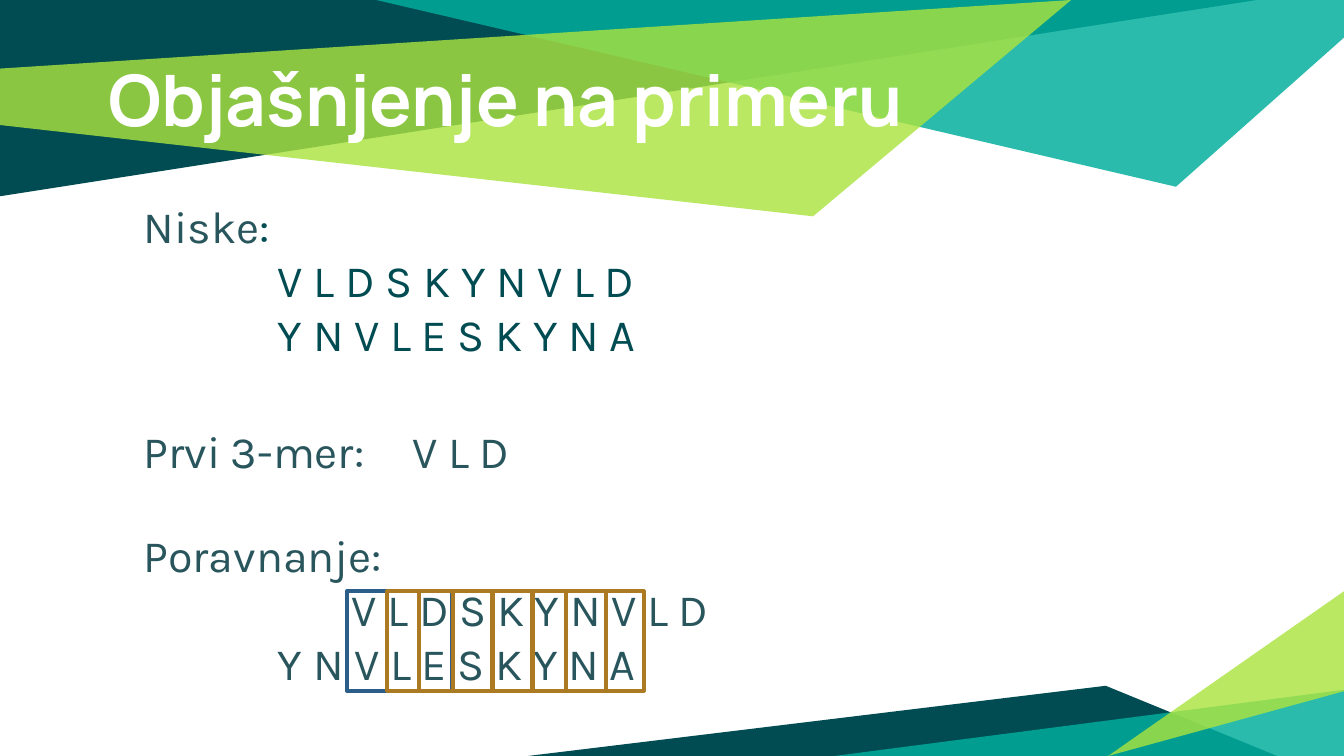
from lxml.etree import SubElement as Sub
from pptx import Presentation
from pptx.dml.color import RGBColor as RGB
from pptx.enum.shapes import MSO_SHAPE as Shape
from pptx.enum.text import MSO_ANCHOR as Anchor
from pptx.oxml.ns import qn
from pptx.util import Inches as In, Pt

NAVY, TEAL, LIME = RGB(0, 0x4C, 0x52), RGB(0, 0xAE, 0x9D), RGB(0xAB, 0xE3, 0x3F)
SLATE, WHITE = RGB(0x29, 0x55, 0x5D), RGB(255, 255, 255)
BLUE, GOLD = RGB(0x2B, 0x5F, 0x8A), RGB(0xAB, 0x7A, 0x22)
WIDE = 10
HIGH = WIDE * 9 / 16

deck = Presentation()
deck.slide_width, deck.slide_height = In(WIDE), In(HIGH)
slide = deck.slides.add_slide(deck.slide_layouts[6])
shapes = slide.shapes


def facet(box, color, alpha, *dots):
    """Filled outline; dots are percentages of the box."""
    x, y, w, h = box
    pts = [(In(x + w * a / 100), In(y + h * b / 100)) for a, b in dots]
    pen = shapes.build_freeform(*pts[0])
    pen.add_line_segments(pts[1:], close=True)
    form = pen.convert_to_shape()
    form.shadow.inherit = False
    form.line.fill.background()
    form.fill.solid()
    form.fill.fore_color.rgb = color
    if alpha < 100:
        tone = form.fill._xPr.find(".//" + qn("a:srgbClr"))
        Sub(tone, qn("a:alpha"), val=str(alpha * 1000))


def write(box, lines, font="Karla", size=24, color=SLATE, bold=False,
          pad=(0.1, 0.05), anchor=Anchor.TOP, space=None):
    """Each line is (indent, run, ...); a run is text or (text, color)."""
    area = shapes.add_textbox(*map(In, box))
    frame = area.text_frame
    frame.word_wrap, frame.vertical_anchor = True, anchor
    frame.margin_left = frame.margin_right = In(pad[0])
    frame.margin_top = frame.margin_bottom = In(pad[1])
    for i, (indent, *runs) in enumerate(lines):
        para = frame.paragraphs[0] if i == 0 else frame.add_paragraph()
        para._p.get_or_add_pPr().set("marL", str(In(indent)))
        if space:
            para.line_spacing = space
        for part in runs:
            text, tint = part if isinstance(part, tuple) else (part, color)
            run = para.add_run()
            run.text = text
            run.font.name, run.font.size = font, Pt(size)
            run.font.bold, run.font.color.rgb = bold, tint


def header(box):
    facet(box, NAVY, 100, (0, 0), (0, 90.7), (93.5, 0))
    facet(box, TEAL, 83, (28, 0), (87.5, 86.3), (100, 17.4), (100, 0))
    facet(box, LIME, 81, (0, 31.7), (0, 57.8), (60.5, 100), (79.7, 0))
    x, y, w, h = box
    write((x + 0.071 * w, y + 0.19 * h, 0.806 * w, 0.58 * h),
          [(0, "Objašnjenje na primeru")], font="Manrope", size=38, color=WHITE,
          bold=True, pad=(0.1, 0.1), anchor=Anchor.MIDDLE, space=0.9)


def footer(box):
    facet(box, NAVY, 100, (0, 100), (91.8, 100), (70.8, 57.4))
    facet(box, TEAL, 83, (100, 59.8), (100, 100), (37.5, 100))
    facet(box, LIME, 81, (100, 60.7), (100, 0), (71.1, 100))


def frames(box, spans):
    """Overlapping 3-mer windows; each span is (start, width) in the box."""
    x, y, _, h = box
    for i, (start, width) in enumerate(spans):
        rect = shapes.add_shape(Shape.RECTANGLE, In(x + start), In(y), In(width), In(h))
        rect.shadow.inherit = False
        rect.fill.background()
        rect.line.color.rgb = GOLD if i else BLUE
        rect.line.width = Pt(2)


def content(box):
    x, y, w, h = box
    # Strings
    write((x, y, w, 0.34 * h),
          [(0, "Niske", (":", NAVY)), (1, ("V L D S K Y N V L D", NAVY)),
           (1, ("Y N V L E S K Y N A", NAVY))], pad=(0.1, 0.1))
    # First 3-mer
    write((x, y + 1.72, 7.8, 0.5), [(0, "Prvi 3-mer: \tV L D")])
    # Alignment
    write((x, y + 2.5, 4.47, 1.72),
          [(0, "Poravnanje:"), (1.55, "V L D S K Y N V L D"),
           (1, "Y N V L E S K Y N A")])
    frames((x + 1.61, y + 3.02, 2.21, 0.74),
           [(0, 0.78), (0.3, 0.78), (0.54, 0.85), (0.79, 0.84),
            (1.09, 0.84), (1.38, 0.83)])


header((0, 0, WIDE, 1.61))
footer((3.93, 4.4, WIDE - 3.93, HIGH - 4.4))
content((0.97, 1.38, 8.06, HIGH - 1.38))
deck.save("out.pptx")
